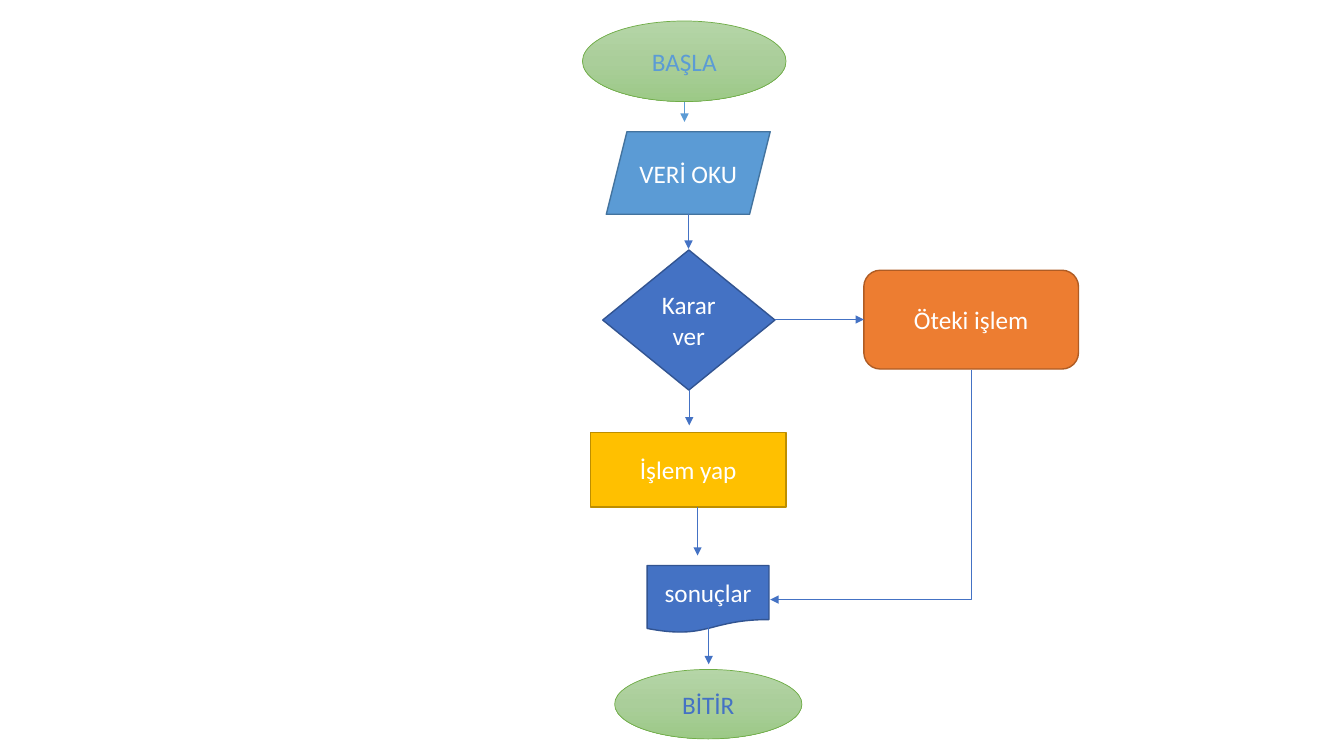
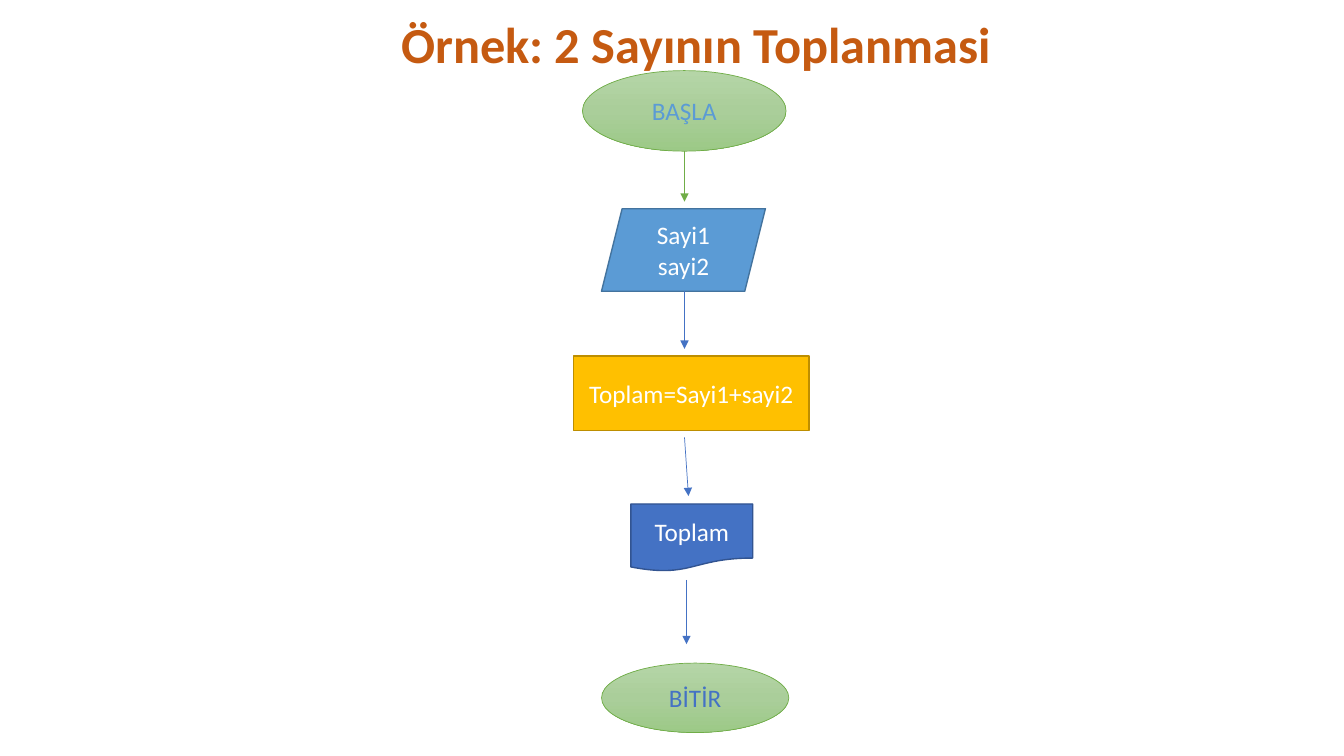
"""Build two flowchart slides: a general algorithm and the sum of two numbers."""
from copy import deepcopy
from dataclasses import dataclass

from lxml import etree
from pptx import Presentation
from pptx.dml.color import RGBColor
from pptx.enum.shapes import MSO_CONNECTOR, MSO_SHAPE
from pptx.enum.text import MSO_ANCHOR, PP_ALIGN
from pptx.oxml.ns import qn
from pptx.util import Cm, Pt

STRAIGHT = MSO_CONNECTOR.STRAIGHT
ELBOW = MSO_CONNECTOR.ELBOW
ELLIPSE = MSO_SHAPE.OVAL
PARALLELOGRAM = MSO_SHAPE.PARALLELOGRAM
RECTANGLE = MSO_SHAPE.RECTANGLE
DECISION = MSO_SHAPE.FLOWCHART_DECISION
ALTERNATE = MSO_SHAPE.FLOWCHART_ALTERNATE_PROCESS
DOCUMENT = MSO_SHAPE.FLOWCHART_DOCUMENT
MIDDLE = MSO_ANCHOR.MIDDLE
CENTER = PP_ALIGN.CENTER

WHITE = RGBColor(0xFF, 0xFF, 0xFF)
BLUE = RGBColor(0x44, 0x72, 0xC4)
DARK_BLUE = RGBColor(0x32, 0x54, 0x91)
SKY = RGBColor(0x5B, 0x9B, 0xD5)
DARK_SKY = RGBColor(0x43, 0x73, 0x9E)
GOLD = RGBColor(0xFF, 0xC0, 0x00)
DARK_GOLD = RGBColor(0xBD, 0x8E, 0x00)
ORANGE = RGBColor(0xED, 0x7D, 0x31)
DARK_ORANGE = RGBColor(0xAF, 0x5C, 0x24)
GREEN = RGBColor(0x70, 0xAD, 0x47)
RUST = RGBColor(0xC5, 0x5A, 0x11)
GREEN_FADE = (RGBColor(0xB5, 0xD5, 0xA7), RGBColor(0xAA, 0xCE, 0x9A),
              RGBColor(0x9C, 0xC9, 0x87))
SKY_FADE = (RGBColor(0x1F, 0x4E, 0x79), SKY, RGBColor(0x9D, 0xC3, 0xE6))

FONT = "Calibri"
DOWNWARD = 270  # gradient angle, counter-clockwise
QUARTER_TURN = "5400000"

Paint = RGBColor | tuple[RGBColor, ...]


@dataclass(frozen=True)
class Style:
    """Look and size (cm) of one kind of flowchart step."""
    shape: MSO_SHAPE
    width: float
    height: float
    fill: Paint
    outline: RGBColor
    outline_width: float = 1
    ink: Paint = WHITE


@dataclass(frozen=True)
class Step:
    """A labelled step with its top left corner in cm."""
    text: str
    style: Style
    left: float
    top: float


@dataclass(frozen=True)
class Arrow:
    """An arrow between two points in cm; a bent one goes down, then left."""
    start: tuple[float, float]
    end: tuple[float, float]
    color: RGBColor = BLUE
    bent: bool = False


@dataclass(frozen=True)
class Chart:
    """One slide: its steps, its arrows and an optional title."""
    steps: tuple[Step, ...]
    arrows: tuple[Arrow, ...]
    title: str = ""


START = Style(ELLIPSE, 5.13, 2.03, GREEN_FADE, GREEN, 0.5, SKY_FADE)
FINISH = Style(ELLIPSE, 4.72, 1.75, GREEN_FADE, GREEN, 0.5, BLUE)
INPUT = Style(PARALLELOGRAM, 4.13, 2.08, SKY, DARK_SKY)
CHOICE = Style(DECISION, 4.34, 3.53, BLUE, DARK_BLUE)
PROCESS = Style(RECTANGLE, 4.93, 1.88, GOLD, DARK_GOLD)
WIDE_PROCESS = Style(RECTANGLE, 5.94, 1.88, GOLD, DARK_GOLD)
OTHER_PROCESS = Style(ALTERNATE, 5.41, 2.49, ORANGE, DARK_ORANGE)
OUTPUT = Style(DOCUMENT, 3.07, 1.7, BLUE, DARK_BLUE)

CHARTS = (
    Chart(
        steps=(
            Step("BAŞLA", START, 14.68, 0.53),
            Step("VERİ OKU", INPUT, 15.28, 3.32),
            Step("Karar ver", CHOICE, 15.19, 6.3),
            Step("Öteki işlem", OTHER_PROCESS, 21.77, 6.81),
            Step("İşlem yap", PROCESS, 14.88, 10.9),
            Step("sonuçlar", OUTPUT, 16.31, 14.25),
            Step("BİTİR", FINISH, 15.49, 16.87),
        ),
        arrows=(
            Arrow((17.25, 2.57), (17.25, 3.07), SKY),
            Arrow((17.35, 5.38), (17.35, 6.27)),
            Arrow((19.53, 8.05), (21.77, 8.05)),
            Arrow((17.37, 9.83), (17.37, 10.72)),
            Arrow((17.58, 12.78), (17.58, 14)),
            Arrow((24.49, 9.32), (19.41, 15.11), bent=True),
            Arrow((17.86, 15.52), (17.86, 16.74)),
        ),
    ),
    Chart(
        title="Örnek: 2 Sayının Toplanmasi",
        steps=(
            Step("BAŞLA", START, 14.68, 1.78),
            Step("Sayi1 sayi2", INPUT, 15.16, 5.26),
            Step("Toplam=Sayi1+sayi2", WIDE_PROCESS, 14.45, 8.97),
            Step("Toplam", OUTPUT, 15.9, 12.7),
            Step("BİTİR", FINISH, 15.16, 16.71),
        ),
        arrows=(
            Arrow((17.25, 3.81), (17.25, 5.08), GREEN),
            Arrow((17.25, 7.34), (17.25, 8.79)),
            Arrow((17.25, 11.02), (17.35, 12.5)),
            Arrow((17.3, 14.61), (17.3, 16.23)),
        ),
    ),
)


def apply_paint(fill, element, paint: Paint) -> None:
    """Fill with one colour, or with evenly spaced colours from top to bottom."""
    if isinstance(paint, RGBColor):
        fill.solid()
        fill.fore_color.rgb = paint
        return
    fill.gradient()
    fill.gradient_angle = DOWNWARD
    stop_list = element.find(".//" + qn("a:gsLst"))
    first = stop_list[0]
    for stop in stop_list[1:]:
        stop_list.remove(stop)
    for _ in paint[1:]:
        stop_list.append(deepcopy(first))
    for index, (stop, color) in enumerate(zip(fill.gradient_stops, paint)):
        stop.position = index / (len(paint) - 1)
        stop.color.rgb = color


def write_text(box, text: str, size: float, ink: Paint, bold: bool = False):
    """Set the text of a box, format it and return its paragraph."""
    box.text_frame.text = text
    box.text_frame.word_wrap = True
    paragraph = box.text_frame.paragraphs[0]
    span = paragraph.runs[0]
    span.font.name = FONT
    span.font.size = Pt(size)
    span.font.bold = bold
    apply_paint(span.font.fill, span._r, ink)
    return paragraph


def add_step(page, step: Step) -> None:
    """Draw one flowchart step."""
    style = step.style
    box = page.shapes.add_shape(style.shape, Cm(step.left), Cm(step.top),
                                Cm(style.width), Cm(style.height))
    box.shadow.inherit = False
    apply_paint(box.fill, box._element.spPr, style.fill)
    box.line.color.rgb = style.outline
    box.line.width = Pt(style.outline_width)
    box.text_frame.vertical_anchor = MIDDLE
    write_text(box, step.text, 18, style.ink).alignment = CENTER


def add_bent_connector(page, arrow: Arrow):
    """Return a one-corner connector, turned a quarter about its centre."""
    (start_x, start_y), (end_x, end_y) = arrow.start, arrow.end
    middle_x, middle_y = (start_x + end_x) / 2, (start_y + end_y) / 2
    half_width, half_height = (end_y - start_y) / 2, (start_x - end_x) / 2
    connector = page.shapes.add_connector(
        ELBOW, Cm(middle_x - half_width), Cm(middle_y - half_height),
        Cm(middle_x + half_width), Cm(middle_y + half_height))
    properties = connector._element.spPr
    properties.find(qn("a:xfrm")).set("rot", QUARTER_TURN)
    properties.find(qn("a:prstGeom")).set("prst", "bentConnector2")
    return connector


def add_arrow(page, arrow: Arrow) -> None:
    """Draw one thin arrow with a triangular head."""
    if arrow.bent:
        connector = add_bent_connector(page, arrow)
    else:
        points = (Cm(value) for value in arrow.start + arrow.end)
        connector = page.shapes.add_connector(STRAIGHT, *points)
    connector.line.color.rgb = arrow.color
    connector.line.width = Pt(0.5)
    properties = connector._element.spPr
    head = etree.SubElement(properties.find(qn("a:ln")), qn("a:tailEnd"))
    head.set("type", "triangle")
    etree.SubElement(properties, qn("a:effectLst"))


def add_title(page, title: str) -> None:
    """Write the slide title."""
    box = page.shapes.add_textbox(Cm(9.86), Cm(0.2), Cm(21.13), Cm(1.8))
    write_text(box, title, 36, RUST, bold=True)


def add_chart_page(deck, chart: Chart) -> None:
    """Add a blank slide and draw a flowchart on it."""
    page = deck.slides.add_slide(deck.slide_layouts[6])
    for step in chart.steps:
        add_step(page, step)
    for arrow in chart.arrows:
        add_arrow(page, arrow)
    if chart.title:
        add_title(page, chart.title)


def main() -> None:
    """Build the deck and save it."""
    deck = Presentation()
    deck.slide_width, deck.slide_height = Cm(33.87), Cm(19.05)
    for chart in CHARTS:
        add_chart_page(deck, chart)
    deck.save("out.pptx")


main()
